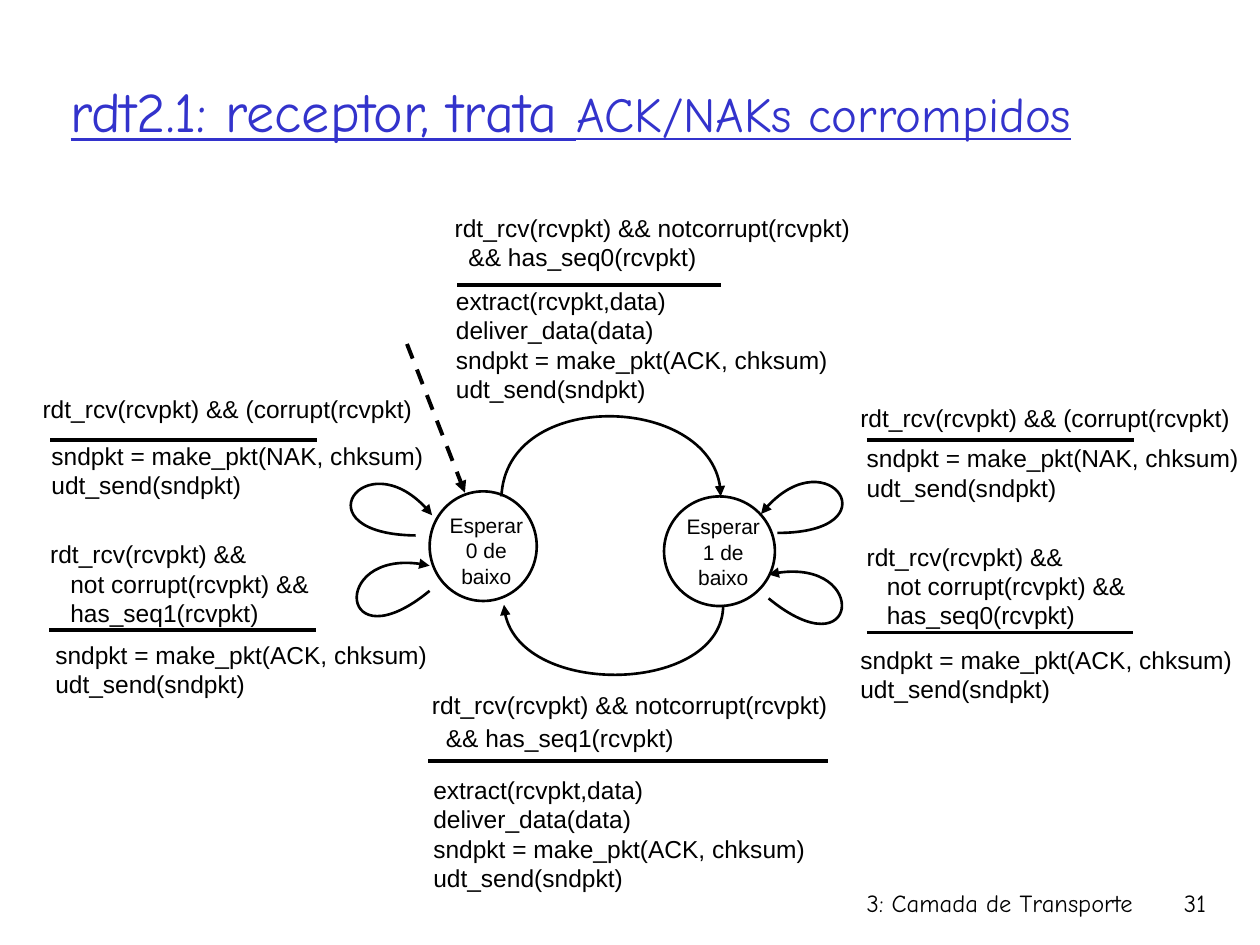
from pptx import Presentation
from pptx.dml.color import RGBColor
from pptx.enum.dml import MSO_LINE
from pptx.enum.shapes import MSO_CONNECTOR, MSO_SHAPE
from pptx.enum.text import MSO_ANCHOR, PP_ALIGN
from pptx.oxml.ns import qn
from pptx.util import Inches, Pt
from lxml.etree import SubElement

BLACK = RGBColor(0x00, 0x00, 0x00)
WHITE = RGBColor(0xFF, 0xFF, 0xFF)
BLUE = RGBColor(0x33, 0x33, 0xCC)
BODY_FONT = "Arial"
TITLE_FONT = "Comic Neue"

# Content
TITLE_RUNS = [("rdt2.1: receptor, trata ", 32), ("ACK/NAKs corrompidos", 28)]
FOOTERS = [
    ("3: Camada de Transporte", (5.92, 7, 3.17, 0.5)),
    ("31", (8.93, 7, 0.74, 0.5)),
]

CORRUPT = ["rdt_rcv(rcvpkt) && (corrupt(rcvpkt)"]
SEND_NAK = ["sndpkt = make_pkt(NAK, chksum)", "udt_send(sndpkt)"]
SEND_ACK = ["sndpkt = make_pkt(ACK, chksum)", "udt_send(sndpkt)"]
DELIVER = ["extract(rcvpkt,data)", "deliver_data(data)"] + SEND_ACK


def received(sequence):
    return ["rdt_rcv(rcvpkt) && notcorrupt(rcvpkt)", f"&& has_seq{sequence}(rcvpkt)"]


def duplicate(sequence):
    return ["rdt_rcv(rcvpkt) &&", "not corrupt(rcvpkt) &&", f"has_seq{sequence}(rcvpkt)"]


# Each transition: event, its box, indent and paragraph gap; rule (left, right, y); action, its box
TRANSITIONS = [
    (received(0), (3.51, 1.64, 4.35, 0.62), 0.11, 0, (3.63, 5.72, 2.26),
     DELIVER, (3.52, 2.22, 3.8, 0.77)),
    (received(1), (3.33, 5.43, 3.92, 0.62), 0.11, 2, (3.4, 6.57, 6.04),
     DELIVER, (3.34, 6.1, 4.21, 1.09)),
    (CORRUPT, (0.24, 3.08, 3.14, 0.67), 0, 0, (0.4, 2.52, 3.49),
     SEND_NAK, (0.31, 3.45, 3.31, 0.45)),
    (duplicate(1), (0.3, 4.23, 2.87, 0.67), 0.16, 0, (0.39, 2.51, 5),
     SEND_ACK, (0.34, 5.03, 3.22, 0.45)),
    (CORRUPT, (6.73, 3.15, 3.14, 0.67), 0, 0, (6.88, 9, 3.49),
     SEND_NAK, (6.78, 3.47, 3.31, 0.45)),
    (duplicate(0), (6.78, 4.25, 2.87, 0.67), 0.16, 0, (6.88, 8.99, 5.02),
     SEND_ACK, (6.73, 5.07, 3.22, 0.45)),
]

# Each state: circle box, label lines, label box
STATES = [
    ((3.41, 3.9, 0.85, 0.87), ["Esperar", "0 de baixo"], (3.42, 4.02, 0.88, 0.67)),
    ((5.27, 3.94, 0.88, 0.87), ["Esperar 1 de baixo"], (5.3, 4.03, 0.88, 0.67)),
]

# Each arrow: start, two control points, end; the head is at the end
CURVED_ARROWS = [
    [(3.98, 3.94), (4.02, 3.08), (5.72, 3.13), (5.72, 3.94)],
    [(5.74, 4.8), (5.74, 5.51), (4.04, 5.55), (4, 4.8)],
    [(3.3, 4.25), (2.37, 4.24), (2.92, 3.45), (3.43, 4.09)],
    [(3.41, 4.69), (2.69, 5.28), (2.61, 4.31), (3.41, 4.49)],
    [(6.17, 4.23), (7.1, 4.23), (6.55, 3.43), (6.04, 4.08)],
    [(6.1, 4.75), (6.82, 5.34), (6.91, 4.38), (6.1, 4.56)],
]
INITIAL_ARROW = ((3.23, 2.73), (3.69, 3.91))


def lengths(values):
    return [Inches(value) for value in values]


def format_font(font, size, name=BODY_FONT, color=BLACK, underline=None):
    font.size = Pt(size)
    font.name = name
    font.color.rgb = color
    font.underline = underline


def add_text(slide, lines, box, size=14, font=BODY_FONT, align=PP_ALIGN.LEFT,
             indent=0, gap=0):
    """Add a text box; lines after the first take the indent and the gap."""
    frame = slide.shapes.add_textbox(*lengths(box)).text_frame
    frame.word_wrap = True
    for index, line in enumerate(lines):
        paragraph = frame.paragraphs[0] if index == 0 else frame.add_paragraph()
        paragraph.alignment = align
        if index:
            paragraph.space_before = Pt(gap)
            paragraph._p.get_or_add_pPr().set("marL", str(Inches(indent)))
        run = paragraph.add_run()
        run.text = line
        format_font(run.font, size, font)


def add_arrowhead(shape):
    SubElement(shape.line._get_or_add_ln(), qn("a:tailEnd"), type="triangle")


def add_line(slide, start, end):
    line = slide.shapes.add_connector(MSO_CONNECTOR.STRAIGHT, *lengths(start + end))
    line.line.color.rgb = BLACK
    line.line.width = Pt(2.25)
    SubElement(line._element.spPr, qn("a:effectLst"))
    return line


def add_curved_arrow(slide, points):
    start, *others = [lengths(point) for point in points]
    builder = slide.shapes.build_freeform(*start)
    builder.add_line_segments(others, close=False)
    curve = builder.convert_to_shape()
    # Join the three straight segments into one cubic curve
    outline = curve._element.find(".//" + qn("a:path"))
    segments = outline.findall(qn("a:lnTo"))
    cubic = SubElement(outline, qn("a:cubicBezTo"))
    for segment in segments:
        cubic.append(segment[0])
        outline.remove(segment)
    curve.shadow.inherit = False
    curve.fill.background()
    curve.line.color.rgb = BLACK
    curve.line.width = Pt(1.5)
    add_arrowhead(curve)


def add_title(slide):
    title = slide.shapes.title
    title.left, title.top, title.width, title.height = lengths((0.46, 0.25, 9.1, 1.25))
    title.text_frame.vertical_anchor = MSO_ANCHOR.MIDDLE
    paragraph = title.text_frame.paragraphs[0]
    paragraph.alignment = PP_ALIGN.LEFT
    for text, size in TITLE_RUNS:
        run = paragraph.add_run()
        run.text = text
        format_font(run.font, size, TITLE_FONT, BLUE, underline=True)


def main():
    presentation = Presentation()
    presentation.slide_width, presentation.slide_height = Inches(10), Inches(7.5)
    slide = presentation.slides.add_slide(presentation.slide_layouts[5])
    add_title(slide)

    # States
    for circle_box, label, label_box in STATES:
        circle = slide.shapes.add_shape(MSO_SHAPE.OVAL, *lengths(circle_box))
        circle.shadow.inherit = False
        circle.fill.solid()
        circle.fill.fore_color.rgb = WHITE
        circle.line.color.rgb = BLACK
        circle.line.width = Pt(1.5)
        add_text(slide, label, label_box, size=12, align=PP_ALIGN.CENTER)

    # Arrows
    initial = add_line(slide, *INITIAL_ARROW)
    initial.line.dash_style = MSO_LINE.DASH
    add_arrowhead(initial)
    for points in CURVED_ARROWS:
        add_curved_arrow(slide, points)

    # Event above the rule, action below it
    for event, event_box, indent, gap, (left, right, y), action, action_box in TRANSITIONS:
        add_text(slide, event, event_box, indent=indent, gap=gap)
        add_line(slide, (left, y), (right, y))
        add_text(slide, action, action_box)

    # Footer and slide number
    for text, box in FOOTERS:
        add_text(slide, [text], box, font=TITLE_FONT, align=PP_ALIGN.RIGHT)

    presentation.save("out.pptx")


if __name__ == "__main__":
    main()
